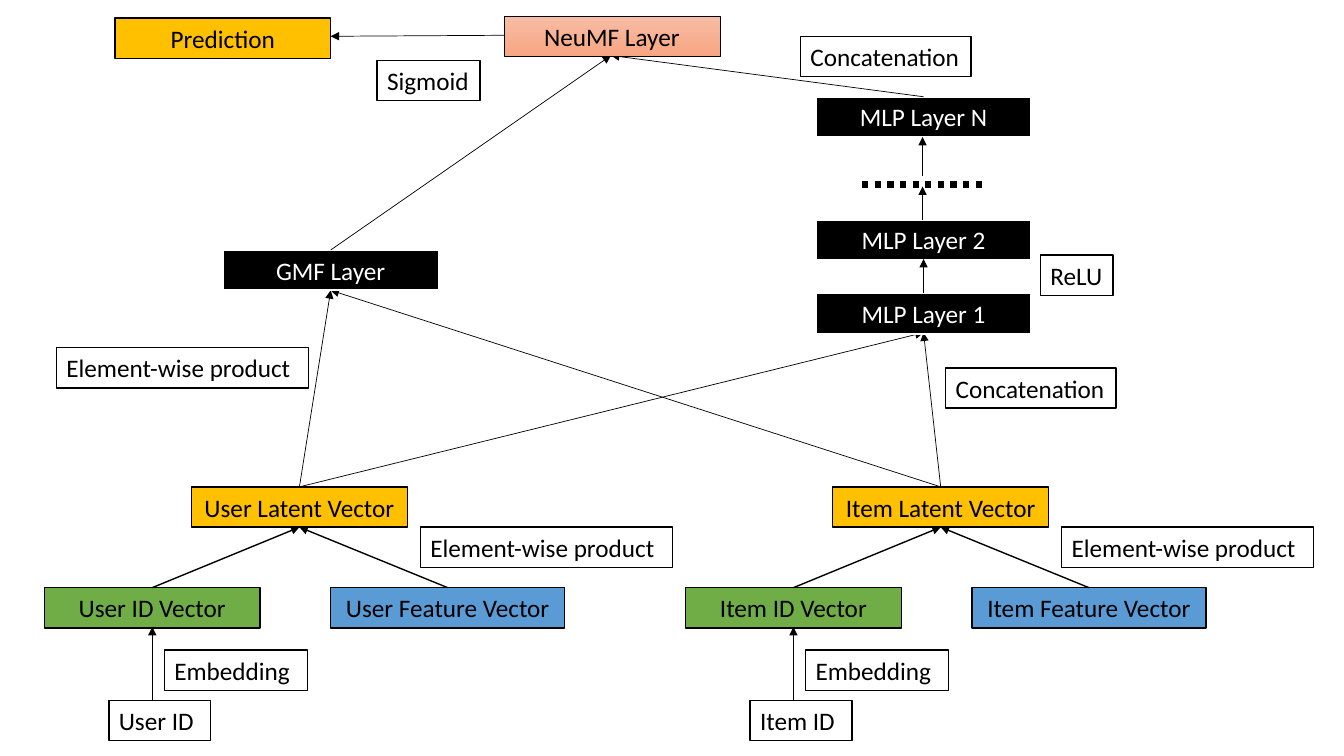
import pptx
import pptx.dml.color
import pptx.enum.dml
import pptx.enum.shapes
import pptx.enum.text
import pptx.oxml
import pptx.oxml.ns
import pptx.util
from pptx.util import Inches

RGB = pptx.dml.color.RGBColor
BLACK = RGB(0x00, 0x00, 0x00)
WHITE = RGB(0xFF, 0xFF, 0xFF)
GREEN = RGB(0x70, 0xAD, 0x47)
BLUE = RGB(0x5B, 0x9B, 0xD5)
GOLD = RGB(0xFF, 0xC0, 0x00)
PEACH = RGB(0xF7, 0xBD, 0xA5)
SALMON = RGB(0xF8, 0xA5, 0x82)


class Diagram:
    font = "Calibri"
    size = 18
    box_w = 2.14
    box_h = 0.4

    def __init__(self, slide):
        self.slide = slide

    def add_text(self, tf, text, color):
        p = tf.paragraphs[0]
        r = p.add_run()
        r.text = text
        r.font.name = self.font
        r.font.size = pptx.util.Pt(self.size)
        r.font.color.rgb = color
        return p

    def outline(self, s, color, width):
        s.line.color.rgb = color
        s.line.width = pptx.util.Pt(width)

    def box(self, text, x, y, fill, w=box_w, color=BLACK, line=BLACK, width=1):
        s = self.slide.shapes.add_shape(
            pptx.enum.shapes.MSO_SHAPE.FLOWCHART_PROCESS,
            Inches(x), Inches(y), Inches(w), Inches(self.box_h))
        s.shadow.inherit = False
        s.fill.solid()
        s.fill.fore_color.rgb = fill
        self.outline(s, line, width)
        tf = s.text_frame
        tf.vertical_anchor = pptx.enum.text.MSO_ANCHOR.MIDDLE
        p = self.add_text(tf, text, color)
        p.alignment = pptx.enum.text.PP_ALIGN.CENTER
        return s

    def dark_box(self, text, x, y):
        return self.box(text, x, y, BLACK, color=WHITE, line=WHITE, width=1.5)

    def gradient_box(self, text, x, y, top, bottom):
        s = self.box(text, x, y, top, width=0.5)
        s.fill.gradient()
        s.fill.gradient_angle = 270
        for stop, color in zip(s.fill.gradient_stops, (top, bottom)):
            stop.color.rgb = color
        return s

    def label(self, text, x, y, w):
        s = self.slide.shapes.add_textbox(
            Inches(x), Inches(y), Inches(w), Inches(self.box_h))
        self.outline(s, BLACK, 1)
        tf = s.text_frame
        tf.word_wrap = False
        tf.auto_size = pptx.enum.text.MSO_AUTO_SIZE.SHAPE_TO_FIT_TEXT
        self.add_text(tf, text, BLACK)
        return s

    def line(self, start, end, width):
        s = self.slide.shapes.add_connector(
            pptx.enum.shapes.MSO_CONNECTOR.STRAIGHT,
            *(Inches(v) for v in start + end))
        self.outline(s, BLACK, width)
        s._element.spPr.append(pptx.oxml.parse_xml(
            "<a:effectLst %s/>" % pptx.oxml.ns.nsdecls("a")))
        return s

    def arrow(self, start, end, width=0.5):
        s = self.line(start, end, width)
        s._element.spPr.ln.append(pptx.oxml.parse_xml(
            '<a:tailEnd %s type="triangle"/>' % pptx.oxml.ns.nsdecls("a")))
        return s

    def dots(self, start, end):
        s = self.line(start, end, 4.5)
        s.line.dash_style = pptx.enum.dml.MSO_LINE.ROUND_DOT
        return s

    def tower(self, name, x):
        id_mid, latent_mid = x + 1.07, x + 2.53
        self.box(name + " ID Vector", x, 5.83, GREEN)
        self.box(name + " Feature Vector", x + 2.84, 5.83, BLUE, w=2.32)
        self.arrow((id_mid, 6.95), (id_mid, 6.22), 1)
        self.label(name + " ID ", x + 0.64, 6.95, 1.01)
        self.label("Embedding ", x + 1.19, 6.45, 1.42)
        for mid in (id_mid, x + 4):
            self.arrow((mid, 5.83), (latent_mid, 5.23), 1)
        self.box(name + " Latent Vector", x + 1.46, 4.83, GOLD)
        self.label("Element-wise product ", x + 3.73, 5.23, 2.5)


prs = pptx.Presentation()
prs.slide_width = Inches(13.33)
prs.slide_height = Inches(7.5)
d = Diagram(prs.slides.add_slide(prs.slide_layouts[6]))

d.tower("User", 0.44)
d.tower("Item", 6.8)

user_top, item_top = (2.97, 4.83), (9.33, 4.83)
gmf_bottom, mlp_bottom = (3.28, 2.88), (9.16, 3.3)
neumf_bottom = (6.06, 0.55)

for target in (gmf_bottom, mlp_bottom):
    for source in (user_top, item_top):
        d.arrow(source, target)

d.dark_box("GMF Layer", 2.21, 2.48)
for text, y in (("1", 2.91), ("2", 2.18), ("N", 0.96)):
    d.dark_box("MLP Layer " + text, 8.09, y)

for x, start, end in ((9.16, 2.91, 2.57), (9.15, 2.18, 1.85), (9.15, 1.75, 1.36)):
    d.arrow((x, start), (x, end))
d.dots((8.55, 1.83), (9.74, 1.83))

for source in ((3.28, 2.48), (9.16, 0.96)):
    d.arrow(source, neumf_bottom)
d.gradient_box("NeuMF Layer", 5, 0.16, PEACH, SALMON)
d.arrow((5, 0.35), (3.28, 0.36))
d.box("Prediction", 1.14, 0.18, GOLD)

for text, x, y, w in (
        ("Element-wise product ", 0.56, 3.45, 2.5),
        ("Concatenation", 9.38, 3.65, 1.69),
        ("Concatenation", 7.94, 0.36, 1.69),
        ("ReLU", 10.32, 2.53, 0.72),
        ("Sigmoid", 3.74, 0.6, 1.02)):
    d.label(text, x, y, w)

prs.save("out.pptx")
